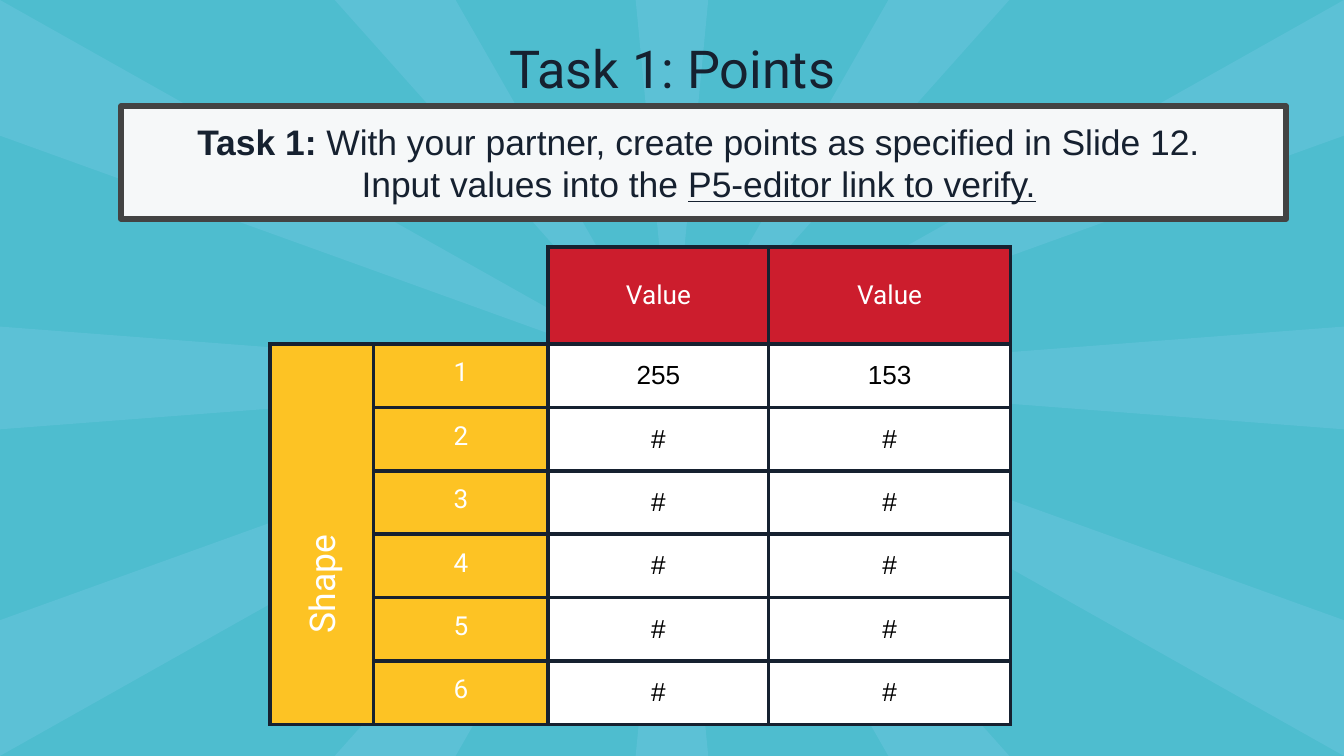
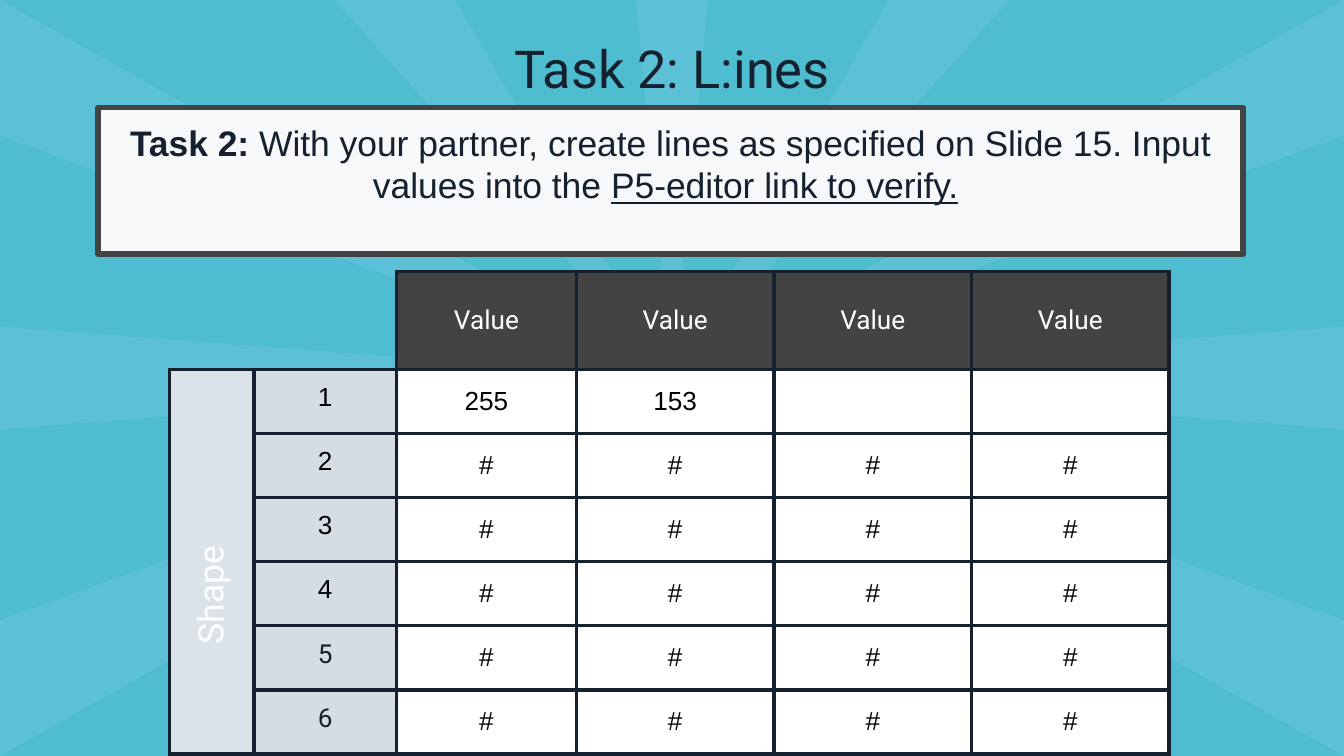
from dataclasses import dataclass

from lxml import etree
from pptx import Presentation
from pptx.dml.color import RGBColor
from pptx.enum.shapes import MSO_SHAPE
from pptx.enum.text import MSO_ANCHOR, PP_ALIGN
from pptx.oxml.ns import qn
from pptx.util import Inches, Pt

RECTANGLE = MSO_SHAPE.RECTANGLE
TOP, MIDDLE = MSO_ANCHOR.TOP, MSO_ANCHOR.MIDDLE
LEFT, CENTER = PP_ALIGN.LEFT, PP_ALIGN.CENTER

COLORS = {
    "sky": "4EBDCF", "ray": "5CC1D6", "ink": "162130", "panel": "F6F8F9",
    "slate": "434343", "red": "CC1D2D", "yellow": "FDC324", "mist": "DAE2E7",
    "fog": "D4DDE3", "haze": "DBE3E8", "white": "FFFFFF", "black": "000000",
}
HEADING_FONT, BODY_FONT = "Roboto", "Arial"
WIDTH = 10
HEIGHT = WIDTH * 9 / 16
INSET = Inches(0.1)
TITLE_AREA = (1.38, 0.17, 7.24, 1.09)
CELL_SIZE, BORDER_WIDTH = 14, 2.25
SHAPE_COUNT = 6

# Ray bases on the top and left edges; mirroring fills the other edges
RAY_BASES = [
    ((4.73, 0), (5.27, 0)),
    ((2.49, 0), (3.39, 0)),
    ((0, 0), (0, 1.01)),
    ((0, 2.43), (0, HEIGHT - 2.43)),
]


@dataclass(frozen=True)
class TextRun:
    text: str
    size: float
    font: str
    color: str
    bold: bool = False
    underline: bool = False


@dataclass(frozen=True)
class ValueGrid:
    left: float
    top: float
    columns: list[float]
    header_height: float
    body_height: float
    header_fill: str
    side_fill: str
    number_fill: str
    number_styles: list[tuple[str, str]]
    first_values: list[str]


@dataclass(frozen=True)
class Task:
    title: str
    lead: str
    instruction: str
    panel: tuple[float, float, float, float]
    grid: ValueGrid
    side_label: tuple[float, float, float, float]
    side_label_fill: str | None


TASKS = [
    Task(
        "Task 1: Points", "Task 1: ",
        "With your partner, create points as specified in Slide 12. \v"
        "Input values into the ",
        (0.9, 0.79, 8.67, 0.84),
        ValueGrid(2.01, 1.84, [0.77, 1.3, 1.64, 1.8], 0.72, 2.83,
                  "red", "yellow", "yellow",
                  [(HEADING_FONT, "white")] * SHAPE_COUNT, ["255", "153"]),
        (1.72, 3.88, 1.34, 0.52), None,
    ),
    Task(
        "Task 2: L:ines", "Task 2: ",
        "With your partner, create lines as specified on Slide 15. "
        "Input values into the ",
        (0.73, 0.8, 8.52, 1.09),
        ValueGrid(1.26, 2.02, [0.63, 1.06, 1.34] + [1.47] * 3, 0.73, 2.86,
                  "slate", "mist", "fog",
                  [(BODY_FONT, "black")] * 4 + [(HEADING_FONT, "ink")] * 2,
                  ["255", "153", "", ""]),
        (0.89, 3.96, 1.34, 0.52), "haze",
    ),
]


def rgb(name: str) -> RGBColor:
    return RGBColor.from_string(COLORS[name])


def area(box: tuple[float, float, float, float]) -> list[Inches]:
    return [Inches(length) for length in box]


def write(paragraph, runs: list[TextRun], align=CENTER) -> None:
    paragraph.alignment = align
    for part in runs:
        # A vertical tab marks a line break inside a run
        for index, line in enumerate(part.text.split("\v")):
            if index:
                paragraph.add_line_break()
            run = paragraph.add_run()
            run.text = line
            run.font.size = Pt(part.size)
            run.font.name = part.font
            run.font.bold = part.bold
            run.font.underline = part.underline
            run.font.color.rgb = rgb(part.color)


def prepare_frame(frame) -> None:
    frame.word_wrap = True
    frame.vertical_anchor = TOP
    frame.margin_left = frame.margin_right = INSET
    frame.margin_top = frame.margin_bottom = INSET


def paint(shape, fill: str) -> None:
    shape.shadow.inherit = False
    shape.fill.solid()
    shape.fill.fore_color.rgb = rgb(fill)
    shape.line.fill.background()


def add_background(slide) -> None:
    slide.background.fill.solid()
    slide.background.fill.fore_color.rgb = rgb("sky")
    triangles = {
        tuple(sorted((round(abs(flip_x - x), 3), round(abs(flip_y - y), 3))
                     for x, y in base))
        for base in RAY_BASES for flip_x in (0, WIDTH) for flip_y in (0, HEIGHT)
    }
    center = (Inches(WIDTH / 2), Inches(HEIGHT / 2))
    for base in sorted(triangles):
        builder = slide.shapes.build_freeform(*center)
        builder.add_line_segments([(Inches(x), Inches(y)) for x, y in base])
        paint(builder.convert_to_shape(), "ray")


def add_title(slide, text: str) -> None:
    frame = slide.shapes.add_textbox(*area(TITLE_AREA)).text_frame
    prepare_frame(frame)
    write(frame.paragraphs[0], [TextRun(text, 28, HEADING_FONT, "ink")])


def add_panel(slide, task: Task) -> None:
    panel = slide.shapes.add_shape(RECTANGLE, *area(task.panel))
    paint(panel, "panel")
    panel.line.color.rgb = rgb("slate")
    panel.line.width = Pt(3)
    prepare_frame(panel.text_frame)
    paragraph = panel.text_frame.paragraphs[0]
    paragraph.space_after = Pt(16)
    write(paragraph, [
        TextRun(task.lead, 19, BODY_FONT, "ink", bold=True),
        TextRun(task.instruction, 19, BODY_FONT, "ink"),
        TextRun("P5-editor link to verify.", 19, BODY_FONT, "ink", underline=True),
        TextRun(" ", 19, BODY_FONT, "ink"),
    ])


def add_side_label(slide, task: Task) -> None:
    box = area(task.side_label)
    if task.side_label_fill:
        label = slide.shapes.add_shape(RECTANGLE, *box)
        paint(label, task.side_label_fill)
    else:
        label = slide.shapes.add_textbox(*box)
    label.rotation = 270
    prepare_frame(label.text_frame)
    write(label.text_frame.paragraphs[0],
          [TextRun("Shape", 19, HEADING_FONT, "white")], LEFT)


def set_borders(cell, visible: str) -> None:
    properties = cell._tc.get_or_add_tcPr()
    for side in "LRTB":
        line = etree.SubElement(properties, qn(f"a:ln{side}"),
                                w=str(Pt(BORDER_WIDTH)))
        if side in visible:
            fill = etree.SubElement(line, qn("a:solidFill"))
            etree.SubElement(fill, qn("a:srgbClr"), val=COLORS["ink"])
        else:
            etree.SubElement(line, qn("a:noFill"))


def fill_cell(cell, fill: str | None, text: str = "", font: str = BODY_FONT,
              color: str = "black", anchor=MIDDLE, borders: str = "LRTB") -> None:
    set_borders(cell, borders)
    if fill:
        cell.fill.solid()
        cell.fill.fore_color.rgb = rgb(fill)
    else:
        cell.fill.background()
    cell.vertical_anchor = anchor
    cell.margin_left = cell.margin_right = INSET
    cell.margin_top = cell.margin_bottom = INSET
    paragraph = cell.text_frame.paragraphs[0]
    if text:
        write(paragraph, [TextRun(text, CELL_SIZE, font, color)])
    else:
        # Keeps blank cells from stretching their row
        etree.SubElement(paragraph._p, qn("a:endParaRPr"), sz=str(CELL_SIZE * 100))


def add_value_grid(slide, grid: ValueGrid) -> None:
    heights = [grid.header_height] + [grid.body_height / SHAPE_COUNT] * SHAPE_COUNT
    table = slide.shapes.add_table(
        len(heights), len(grid.columns), Inches(grid.left), Inches(grid.top),
        Inches(sum(grid.columns)), Inches(sum(heights))).table
    table.first_row = table.horz_banding = False
    for column, width in zip(table.columns, grid.columns):
        column.width = Inches(width)
    for row, height in zip(table.rows, heights):
        row.height = Inches(height)

    # Open corner and header row
    for column in range(2):
        fill_cell(table.cell(0, column), None, borders="RB")
    for column in range(2, len(grid.columns)):
        fill_cell(table.cell(0, column), grid.header_fill, "Value",
                  HEADING_FONT, "white")

    # Numbered shapes and their values
    for number, (font, color) in enumerate(grid.number_styles, 1):
        fill_cell(table.cell(number, 0), grid.side_fill)
        fill_cell(table.cell(number, 1), grid.number_fill, str(number),
                  font, color, TOP)
        values = grid.first_values if number == 1 else ["#"] * len(grid.first_values)
        for column, value in enumerate(values, 2):
            fill_cell(table.cell(number, column), "white", value)

    table.cell(0, 0).merge(table.cell(0, 1))
    table.cell(1, 0).merge(table.cell(SHAPE_COUNT, 0))


def main() -> None:
    deck = Presentation()
    deck.slide_width, deck.slide_height = Inches(WIDTH), Inches(HEIGHT)
    for task in TASKS:
        slide = deck.slides.add_slide(deck.slide_layouts[6])
        add_background(slide)
        add_title(slide, task.title)
        add_value_grid(slide, task.grid)
        add_side_label(slide, task)
        add_panel(slide, task)
    deck.save("out.pptx")


if __name__ == "__main__":
    main()
